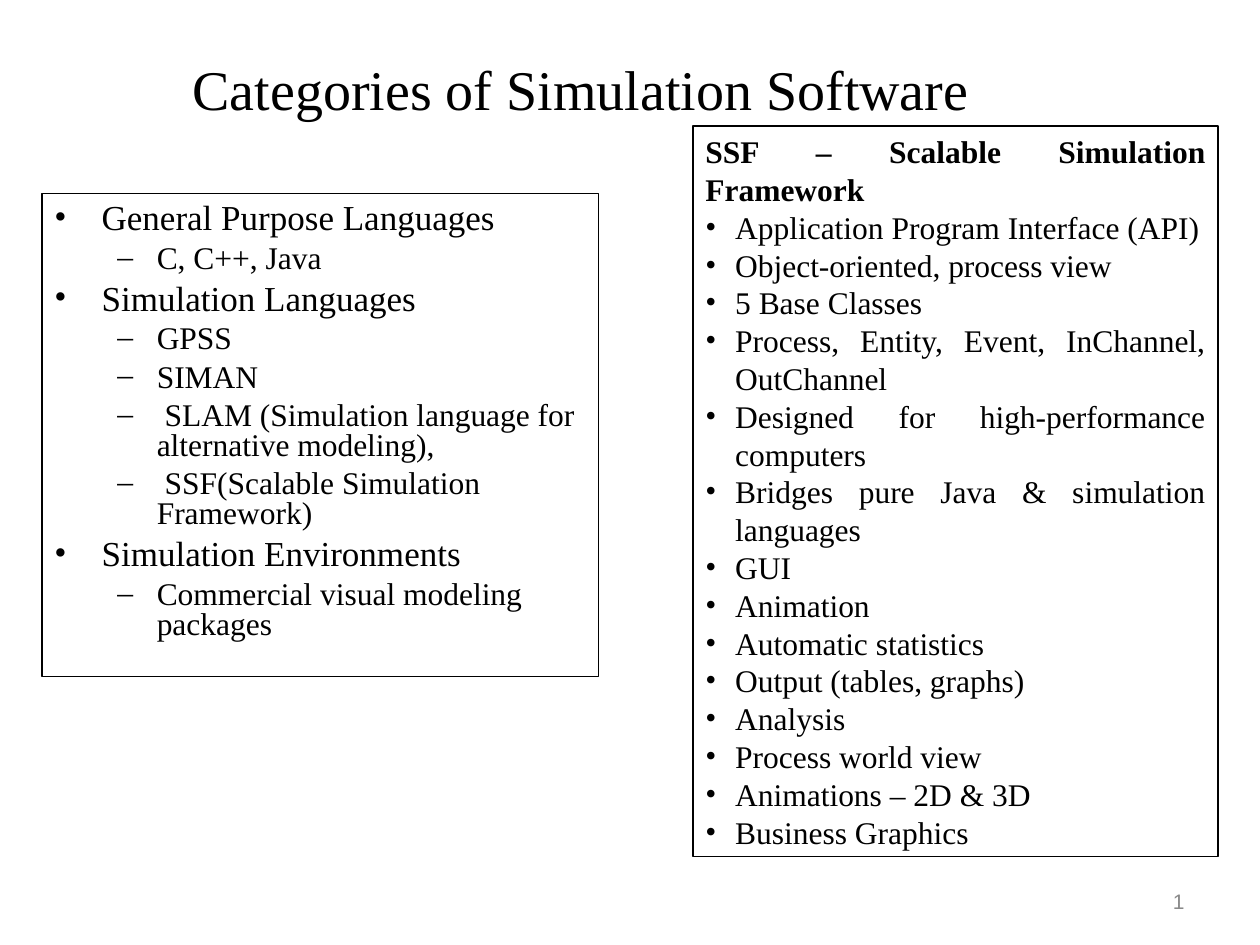
from lxml import etree
from pptx import Presentation
from pptx.dml.color import RGBColor
from pptx.enum import shapes, text
from pptx.oxml.ns import qn
from pptx.util import Pt

LEFT, CENTER = text.PP_ALIGN.LEFT, text.PP_ALIGN.CENTER
RIGHT, JUSTIFY = text.PP_ALIGN.RIGHT, text.PP_ALIGN.JUSTIFY
TOP, MIDDLE = text.MSO_ANCHOR.TOP, text.MSO_ANCHOR.MIDDLE


def color(value):
    return RGBColor.from_string(value)


def add_text(box, words, first=False, size=18, font="Times New Roman", fill="000000",
             bold=False, align=LEFT, bullet=None, level=0, indent=0, hanging=0,
             spacing=None, before=0):
    """Write one paragraph; first uses the paragraph that the box already has."""
    frame = box.text_frame
    para = frame.paragraphs[0] if first else frame.add_paragraph()
    para.alignment = align
    para.level = level
    para.line_spacing = spacing
    para.space_before = Pt(0 if first else before)
    if bullet:
        properties = para._p.get_or_add_pPr()
        properties.set("marL", str(Pt(indent)))
        properties.set("indent", str(-Pt(hanging)))
        etree.SubElement(properties, qn("a:buFont")).set("typeface", font)
        etree.SubElement(properties, qn("a:buChar")).set("char", bullet)
    span = para.add_run()
    span.text = words
    span.font.size = Pt(size)
    span.font.name = font
    span.font.bold = bold
    span.font.color.rgb = color(fill)


deck = Presentation()
deck.slide_width, deck.slide_height = Pt(720), Pt(540)
page = deck.slides.add_slide(deck.slide_layouts[6])

# Title and page number
title = page.shapes.add_textbox(Pt(54), Pt(12), Pt(618), Pt(66))
title.text_frame.margin_top = Pt(14)
title.text_frame.margin_right = Pt(69)
add_text(title, "Categories of Simulation Software", first=True, size=32, align=CENTER)

number = page.shapes.add_textbox(Pt(516), Pt(500.4), Pt(168), Pt(28.8))
add_text(number, "1", first=True, size=12, font="Arial", fill="898989", align=RIGHT)

for box in (title, number):
    box.text_frame.word_wrap = True
    box.text_frame.vertical_anchor = MIDDLE

# Outlined panels
categories = page.shapes.add_shape(shapes.MSO_SHAPE.RECTANGLE,
                                   Pt(24), Pt(110.4), Pt(318), Pt(276))
framework = page.shapes.add_shape(shapes.MSO_SHAPE.RECTANGLE,
                                  Pt(396), Pt(72), Pt(300), Pt(417.6))
for panel in (categories, framework):
    panel.shadow.inherit = False
    panel.fill.background()
    panel.line.color.rgb = color("000000")
    panel.line.width = Pt(0.75)
    panel.text_frame.word_wrap = True
    panel.text_frame.vertical_anchor = TOP
categories.text_frame.margin_top = Pt(6)

# Categories with their examples
groups = {
    "General Purpose Languages": ["C, C++, Java"],
    "Simulation Languages": [
        "GPSS",
        "SIMAN",
        " SLAM (Simulation language for alternative modeling),",
        " SSF(Scalable Simulation Framework)",
    ],
    "Simulation Environments": ["Commercial visual modeling packages"],
}
for index, (heading, examples) in enumerate(groups.items()):
    add_text(categories, heading, first=index == 0, size=20, bullet="•",
             indent=27, hanging=27, spacing=0.8, before=5)
    for example in examples:
        add_text(categories, example, bullet="–", level=1,
                 indent=58.5, hanging=22.5, spacing=0.8, before=4.5)

# Scalable Simulation Framework
add_text(framework, "SSF – Scalable Simulation Framework", first=True, bold=True, align=JUSTIFY)
features = [
    "Application Program Interface (API)",
    "Object-oriented, process view",
    "5 Base Classes",
    "Process, Entity, Event, InChannel, OutChannel",
    "Designed for high-performance computers",
    "Bridges pure Java & simulation languages",
    "GUI",
    "Animation",
    "Automatic statistics",
    "Output (tables, graphs)",
    "Analysis",
    "Process world view",
    "Animations – 2D & 3D",
    "Business Graphics",
]
for feature in features:
    add_text(framework, feature, align=JUSTIFY, bullet="•", indent=17, hanging=17)

deck.save("out.pptx")
